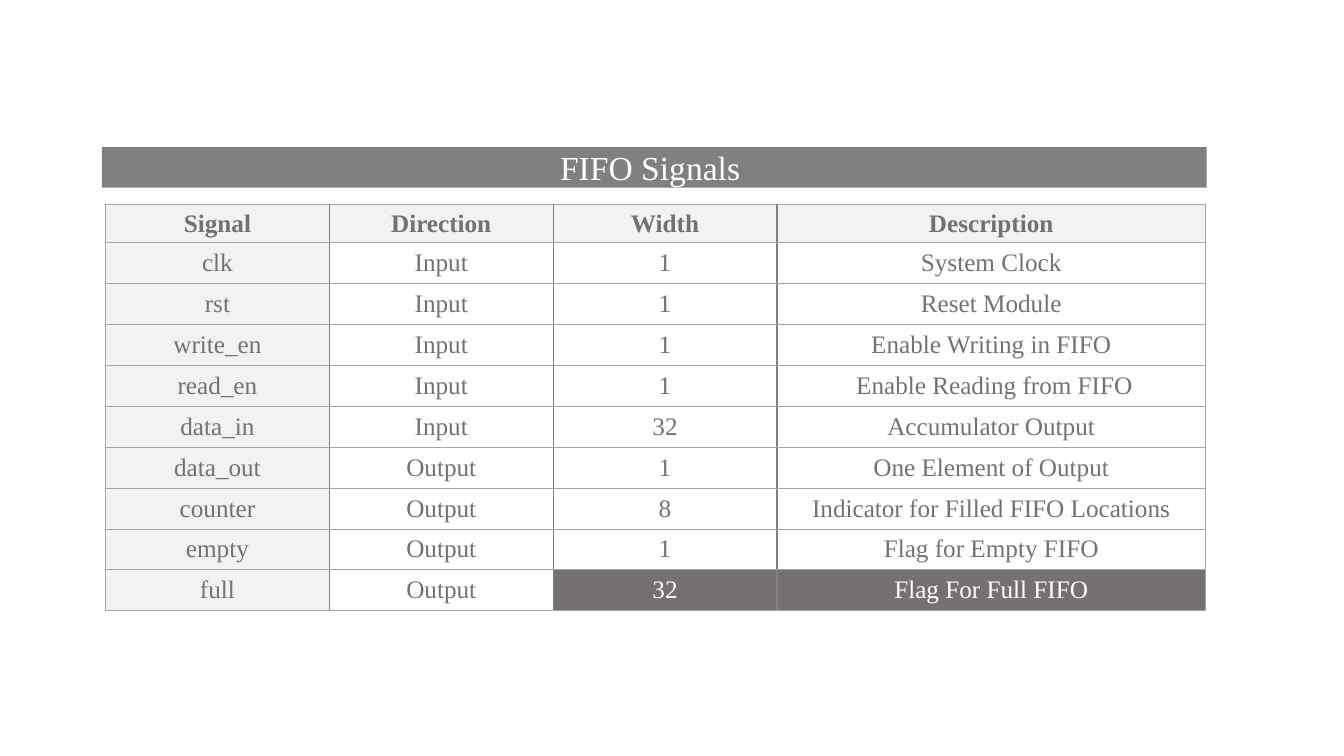
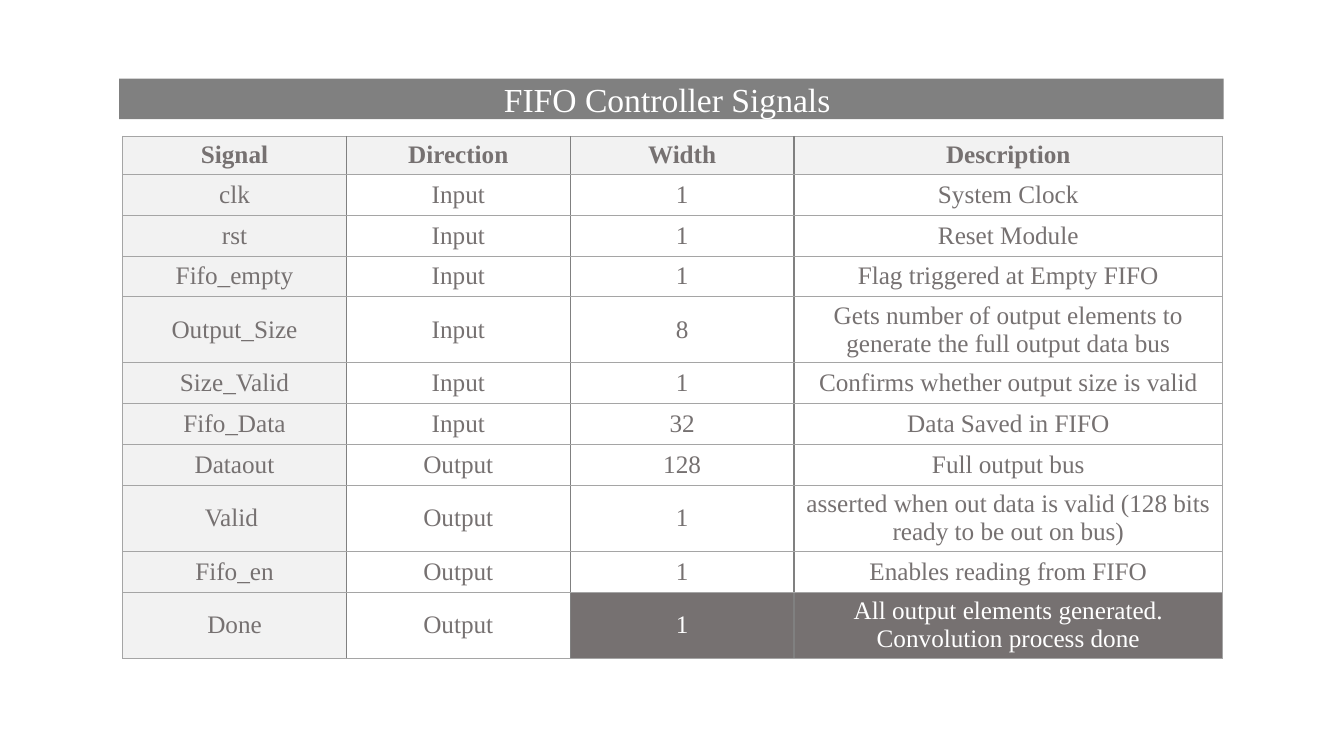
from lxml.etree import SubElement
from pptx import Presentation
from pptx.dml.color import RGBColor
from pptx.enum.text import MSO_ANCHOR as Anchor, MSO_AUTO_SIZE as AutoSize, PP_ALIGN as Align
from pptx.oxml.ns import qn
from pptx.util import Cm, Pt

COLORS = {
    "bar": "808080",
    "white": "FFFFFF",
    "label": "F2F2F2",
    "text": "767171",
    "accent": "767171",
    "divider": "808080",
    "rule": "A5A5A5",
}
FORMATS = {
    "title": {"name": "Times New Roman", "size": Pt(24), "bold": False},
    "header": {"name": "Times New Roman", "size": Pt(18), "bold": True},
    "body": {"name": "Times New Roman", "size": Pt(18), "bold": False},
}
TITLE_ONLY = 5
HEADINGS = ("Signal", "Direction", "Width", "Description")
COLUMN_WIDTHS = (5.64, 5.64, 5.64, 10.8)
HEADER_HEIGHT, ROW_HEIGHT = 0.86, 1.03
BAR_WIDTH, BAR_HEIGHT = 27.84, 1.02
TABLE_SHIFT, TABLE_DROP = 0.09, 1.45

FIFO_SIGNALS = [
    ("clk", "Input", "1", "System Clock"),
    ("rst", "Input", "1", "Reset Module"),
    ("write_en", "Input", "1", "Enable Writing in FIFO"),
    ("read_en", "Input", "1", " Enable Reading from FIFO"),
    ("data_in", "Input", "32", "Accumulator Output"),
    ("data_out", "Output", "1", "One Element of Output"),
    ("counter", "Output", "8", "Indicator for Filled FIFO Locations"),
    ("empty", "Output", "1", "Flag for Empty FIFO"),
    ("full", "Output", "32", "Flag For Full FIFO"),
]
CONTROLLER_SIGNALS = [
    ("clk", "Input", "1", "System Clock"),
    ("rst", "Input", "1", "Reset Module"),
    ("Fifo_empty", "Input", "1", "Flag triggered at Empty FIFO"),
    ("Output_Size", "Input", "8",
     "Gets number of output elements to generate the full output data bus"),
    ("Size_Valid", "Input", "1", "Confirms whether output size is valid"),
    ("Fifo_Data", "Input", "32", "Data Saved in FIFO"),
    ("Dataout", "Output", "128", "Full output bus"),
    ("Valid ", "Output", "1",
     "asserted when out data is valid (128 bits ready to be out on bus)"),
    ("Fifo_en", "Output", "1", "Enables reading from FIFO"),
    ("Done", "Output", "1", "All output elements generated. Convolution process done"),
]


class SignalDeck:
    """Holds the shared style and the current slide."""

    def __init__(self):
        self.deck = Presentation()
        self.deck.slide_width, self.deck.slide_height = Cm(33.87), Cm(19.05)
        self.page = None

    def add_page(self):
        self.page = self.deck.slides.add_slide(self.deck.slide_layouts[TITLE_ONLY])

    def color(self, name):
        return RGBColor.from_string(COLORS[name])

    def fill(self, item, name):
        item.fill.solid()
        item.fill.fore_color.rgb = self.color(name)

    def add_text(self, frame, text, style, color):
        para = frame.paragraphs[0]
        para.alignment = Align.CENTER
        span = para.add_run()
        span.text = text
        for key, value in FORMATS[style].items():
            setattr(span.font, key, value)
        span.font.color.rgb = self.color(color)

    def title_bar(self, text, left, top):
        bar = self.page.shapes.title
        bar.left, bar.top = Cm(left), Cm(top)
        bar.width, bar.height = Cm(BAR_WIDTH), Cm(BAR_HEIGHT)
        self.fill(bar, "bar")
        frame = bar.text_frame
        frame.auto_size = AutoSize.NONE
        frame.vertical_anchor = Anchor.MIDDLE
        self.add_text(frame, text, "title", "white")

    def borders(self, cell, column):
        # Darker dividers between columns, thin rules everywhere else
        divider, rule = ("divider", 1), ("rule", 0.5)
        last = len(HEADINGS) - 1
        sides = {
            "lnL": divider if column > 0 else rule,
            "lnR": divider if column < last else rule,
            "lnT": rule,
            "lnB": rule,
        }
        properties = cell._tc.get_or_add_tcPr()
        for side, (name, width) in sides.items():
            line = SubElement(properties, qn(f"a:{side}"), w=str(Pt(width)))
            paint = SubElement(line, qn("a:solidFill"))
            SubElement(paint, qn("a:srgbClr"), val=COLORS[name])

    def signal_table(self, signals, left, top):
        rows = [HEADINGS, *signals]
        heights = [HEADER_HEIGHT] + [ROW_HEIGHT] * len(signals)
        table = self.page.shapes.add_table(
            len(rows), len(HEADINGS), Cm(left), Cm(top),
            Cm(sum(COLUMN_WIDTHS)), Cm(sum(heights))).table
        table.first_row = table.horz_banding = False
        for column, width in zip(table.columns, COLUMN_WIDTHS):
            column.width = Cm(width)
        for row, height in zip(table.rows, heights):
            row.height = Cm(height)

        for r, texts in enumerate(rows):
            for c, text in enumerate(texts):
                cell = table.cell(r, c)
                # The last row ends in two dark cells
                dark = r == len(signals) and c >= 2
                label = r == 0 or c == 0
                self.borders(cell, c)
                self.fill(cell, "accent" if dark else "label" if label else "white")
                cell.vertical_anchor = Anchor.MIDDLE
                self.add_text(cell.text_frame, text, "body" if r else "header",
                              "white" if dark else "text")

    def signal_page(self, title, signals, left, top):
        self.add_page()
        self.title_bar(title, left, top)
        self.signal_table(signals, left + TABLE_SHIFT, top + TABLE_DROP)


def main():
    show = SignalDeck()
    show.signal_page("FIFO Signals ", FIFO_SIGNALS, 2.57, 3.71)
    show.signal_page("FIFO Controller Signals ", CONTROLLER_SIGNALS, 3.0, 1.98)
    show.deck.save("out.pptx")


if __name__ == "__main__":
    main()
